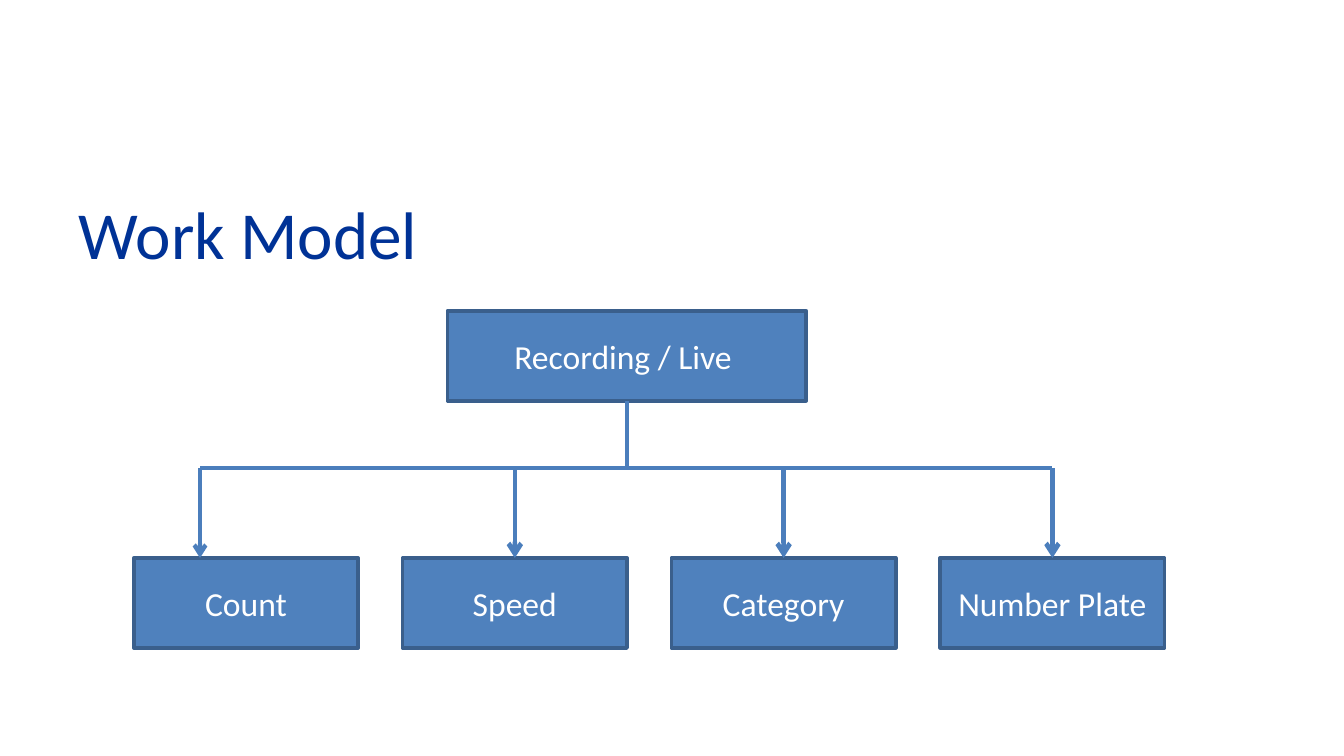
import pptx
import pptx.dml.color
import pptx.enum.shapes
import pptx.enum.text
import pptx.oxml.ns
import pptx.util
from lxml import etree

Cm = pptx.util.Cm
Pt = pptx.util.Pt
COLORS = {"title": "003296", "box": "4F81BD", "border": "3A5F8C", "line": "4B7EBC", "text": "FFFFFF"}
BOX_HEIGHT = 1.7
BRANCH_Y = 8.84
STEPS = ["Count", "Speed", "Category", "Number Plate"]


def rgb(name):
    """Return the named colour."""
    return pptx.dml.color.RGBColor.from_string(COLORS[name])


def write_text(shape, text, size, color, alignment):
    """Fill a shape with one line of middle-anchored text."""
    frame = shape.text_frame
    frame.word_wrap = True
    frame.vertical_anchor = pptx.enum.text.MSO_ANCHOR.MIDDLE
    paragraph = frame.paragraphs[0]
    paragraph.text = text
    paragraph.alignment = alignment
    paragraph.font.name = "Calibri"
    paragraph.font.size = Pt(size)
    paragraph.font.color.rgb = rgb(color)


def add_title(slide, text):
    """Add the slide title."""
    shape = slide.shapes.add_textbox(Cm(1.24), Cm(3.33), Cm(22.91), Cm(2.13))
    write_text(shape, text, 36, "title", pptx.enum.text.PP_ALIGN.LEFT)


def add_box(slide, text, left, top, width):
    """Add a labelled rectangle and return it."""
    shape = slide.shapes.add_shape(
        pptx.enum.shapes.MSO_SHAPE.RECTANGLE, Cm(left), Cm(top), Cm(width), Cm(BOX_HEIGHT))
    shape.shadow.inherit = False
    shape.fill.solid()
    shape.fill.fore_color.rgb = rgb("box")
    shape.line.color.rgb = rgb("border")
    shape.line.width = Pt(2)
    write_text(shape, text, 18, "text", pptx.enum.text.PP_ALIGN.CENTER)
    return shape


def add_line(slide, start, end, width=2.25, arrow=False):
    """Add a straight connector, with an arrowhead at its end if asked."""
    connector = slide.shapes.add_connector(
        pptx.enum.shapes.MSO_CONNECTOR.STRAIGHT, *map(Cm, start + end))
    connector.line.color.rgb = rgb("line")
    connector.line.width = Pt(width)
    if arrow:
        etree.SubElement(connector.line._get_or_add_ln(), pptx.oxml.ns.qn("a:tailEnd"), type="arrow")
    etree.SubElement(connector._element.spPr, pptx.oxml.ns.qn("a:effectLst"))
    return connector


def main():
    """Build the work model slide."""
    presentation = pptx.Presentation()
    presentation.slide_width = Cm(25.4)
    presentation.slide_height = Cm(14.28)
    slide = presentation.slides.add_slide(presentation.slide_layouts[6])

    add_title(slide, "Work Model")
    source = add_box(slide, "Recording / Live ", 8.46, 5.87, 6.78)
    step_top, step_width = 10.54, 4.24
    lefts = [2.53 + 5.08 * index for index in range(len(STEPS))]
    steps = [add_box(slide, text, left, step_top, step_width) for text, left in zip(STEPS, lefts)]

    centers = [3.78] + [left + step_width / 2 for left in lefts[1:]]
    add_line(slide, (centers[0], BRANCH_Y), (centers[-1], BRANCH_Y))
    trunk = add_line(slide, (11.85, 5.87 + BOX_HEIGHT), (11.85, BRANCH_Y))
    trunk.begin_connect(source, 2)
    add_line(slide, (centers[0], BRANCH_Y), (centers[0], step_top), arrow=True)
    for step, center in zip(steps[1:], centers[1:]):
        arrow = add_line(slide, (center, BRANCH_Y), (center, step_top), width=2.5, arrow=True)
        arrow.end_connect(step, 0)

    presentation.save("out.pptx")


if __name__ == "__main__":
    main()
